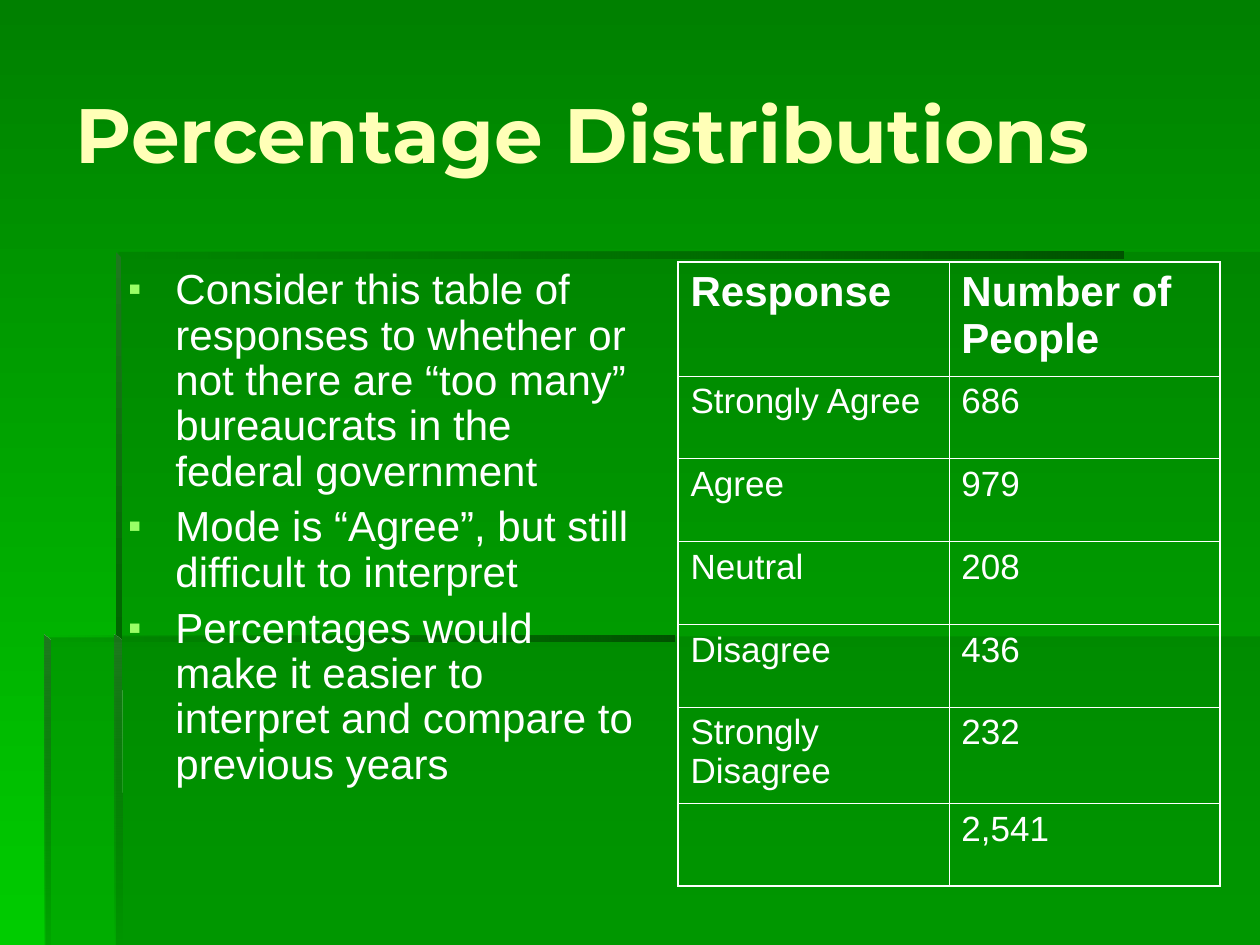
import dataclasses
import typing

import lxml.etree
import pptx
import pptx.dml.color
import pptx.enum.text
import pptx.oxml
import pptx.oxml.ns
import pptx.util

Pt = pptx.util.Pt
RGB = pptx.dml.color.RGBColor
qn = pptx.oxml.ns.qn

TOP = RGB(0x00, 0x80, 0x00)
BASE = RGB(0x00, 0xCC, 0x00)
PANEL = RGB(0x00, 0x66, 0x00)
SHADE = RGB(0x00, 0x53, 0x00)
EDGE = RGB(0x1E, 0x78, 0x1E)
CREAM = RGB(0xFF, 0xFF, 0xB7)
WHITE = RGB(0xFF, 0xFF, 0xFF)
LIME = RGB(0x99, 0xFF, 0x66)

THIN, THICK = 0.45, 1.08
DOWN, LEFT = 270, 180  # gradient directions


@dataclasses.dataclass(frozen=True)
class Form:
    points: tuple[tuple[float, float], ...]
    start: RGB = PANEL
    angle: int | None = None  # None means a plain fill
    alpha: int = 100  # opacity of the plain fill or the last stop


# Two large panels, then the bevelled bars along their edges
FORMS = (
    Form(((66.2, 363.6), (66.2, 540), (720, 540), (720, 363.6)), alpha=30),
    Form(((67.7, 364.3), (25.9, 364.3), (25.9, 540), (720, 540),
          (720, 144), (67.7, 144)), alpha=30),
    Form(((66.2, 144), (66.2, 147.6), (642, 147.6), (642, 144)), SHADE, LEFT, 0),
    Form(((66.2, 144), (66.2, 367.2), (69.8, 367.2), (69.1, 146.9)), EDGE, DOWN),
    Form(((65.5, 540), (69.8, 540), (69.1, 365.8), (65.5, 362.9)), EDGE, DOWN, 0),
    Form(((25.2, 362.9), (25.2, 366.5), (385.2, 366.5), (385.2, 362.9)),
         SHADE, LEFT, 0),
    Form(((25.2, 362.9), (25.2, 540), (28.8, 540), (28.8, 366.5)), EDGE, DOWN, 10),
)

POINTS = (
    "Consider this table of responses to whether or not there are “too many” "
    "bureaucrats in the federal government",
    "Mode is “Agree”, but still difficult to interpret",
    "Percentages would make it easier to interpret and compare to previous years",
)

ROWS = (
    ("Response", "Number of People"),
    ("Strongly Agree", "686"),
    ("Agree", "979"),
    ("Neutral", "208"),
    ("Disagree", "436"),
    ("Strongly Disagree", "232"),
    ("", "2,541"),
)
HEAD, ROW, TALL = 65, 47.3, 55.2
HEIGHTS = (HEAD, ROW, ROW, ROW, ROW, TALL, ROW)


def blend(fill: typing.Any, start: RGB, end: RGB, angle: int) -> None:
    fill.gradient()
    fill.gradient_angle = angle
    for stop, hue in zip(fill.gradient_stops, (start, end)):
        stop.color.rgb = hue


def style(para: typing.Any, size: float, hue: RGB, bold: bool = False,
          face: str = "Arial") -> None:
    for run in para.runs:
        run.font.size = Pt(size)
        run.font.name = face
        run.font.bold = bold
        run.font.color.rgb = hue


def draw_form(slide: typing.Any, form: Form) -> None:
    first, *rest = [(Pt(x), Pt(y)) for x, y in form.points]
    build = slide.shapes.build_freeform(*first)
    build.add_line_segments(rest, close=True)
    shape = build.convert_to_shape()
    shape.shadow.inherit = False
    shape.line.fill.background()
    if form.angle is None:
        shape.fill.solid()
        shape.fill.fore_color.rgb = form.start
    else:
        blend(shape.fill, form.start, PANEL, form.angle)
    if form.alpha < 100:
        hue = list(shape._element.spPr.iter(qn("a:srgbClr")))[-1]
        lxml.etree.SubElement(hue, qn("a:alpha"), val=str(form.alpha * 1000))


def add_title(slide: typing.Any) -> None:
    title = slide.shapes.title
    title.left, title.top = Pt(36), Pt(19.4)
    title.width, title.height = Pt(660), Pt(113)
    frame = title.text_frame
    frame.text = "Percentage Distributions"
    frame.vertical_anchor = pptx.enum.text.MSO_ANCHOR.MIDDLE
    para = frame.paragraphs[0]
    para.alignment = pptx.enum.text.PP_ALIGN.LEFT
    style(para, 44, CREAM, True, "Montserrat")
    # Bring the title in front of the panels
    slide.shapes._spTree.append(title._element)


def add_mark(para: typing.Any) -> None:
    props = para._p.get_or_add_pPr()
    props.set("marL", str(Pt(27)))
    props.set("indent", str(-Pt(27)))
    hue = lxml.etree.SubElement(props, qn("a:buClr"))
    lxml.etree.SubElement(hue, qn("a:srgbClr"), val=str(LIME))
    lxml.etree.SubElement(props, qn("a:buSzPct"), val="90000")
    lxml.etree.SubElement(props, qn("a:buFont"), typeface="Arial")
    lxml.etree.SubElement(props, qn("a:buChar"), char="▪")


def add_list(slide: typing.Any) -> None:
    box = slide.shapes.add_textbox(Pt(66.2), Pt(149.8), Pt(309.6), Pt(329.8))
    frame = box.text_frame
    frame.word_wrap = True
    for i, text in enumerate(POINTS):
        para = frame.add_paragraph() if i else frame.paragraphs[0]
        para.text = text
        add_mark(para)
        para.line_spacing = 0.9
        para.space_before = Pt(6 if i else 0)
        style(para, 24, WHITE)


def add_edge(cell: typing.Any, side: int, name: str, width: float) -> None:
    props = cell._tc.get_or_add_tcPr()
    line = pptx.oxml.parse_xml(
        f'<a:{name} xmlns:a="http://schemas.openxmlformats.org/drawingml/2006/main"'
        f' w="{Pt(width)}"><a:solidFill><a:srgbClr val="{WHITE}"/></a:solidFill>'
        f'</a:{name}>')
    props.insert(side, line)


def add_grid(slide: typing.Any) -> None:
    frame = slide.shapes.add_table(len(ROWS), 2, Pt(387.4), Pt(149.8),
                                   Pt(309.6), Pt(sum(HEIGHTS)))
    table = frame.table
    table.first_row = table.horz_banding = False
    for col in table.columns:
        col.width = Pt(154.8)
    last = len(ROWS) - 1
    for r, (texts, height) in enumerate(zip(ROWS, HEIGHTS)):
        table.rows[r].height = Pt(height)
        for c, text in enumerate(texts):
            cell = table.cell(r, c)
            cell.fill.background()
            # Thick outer frame and a thick rule above the total
            thick = {"lnL": c == 0, "lnR": c == 1,
                     "lnT": r in (0, last), "lnB": r >= last - 1}
            for side, (name, heavy) in enumerate(thick.items()):
                add_edge(cell, side, name, THICK if heavy else THIN)
            if text:
                cell.text_frame.text = text
                style(cell.text_frame.paragraphs[0], 20 if r else 24, WHITE, r == 0)


def main() -> None:
    deck = pptx.Presentation()
    deck.slide_width, deck.slide_height = Pt(720), Pt(540)
    slide = deck.slides.add_slide(deck.slide_layouts[5])
    # Backdrop
    blend(slide.background.fill, TOP, BASE, DOWN)
    for form in FORMS:
        draw_form(slide, form)
    # Content
    add_title(slide)
    add_list(slide)
    add_grid(slide)
    deck.save("out.pptx")


if __name__ == "__main__":
    main()
